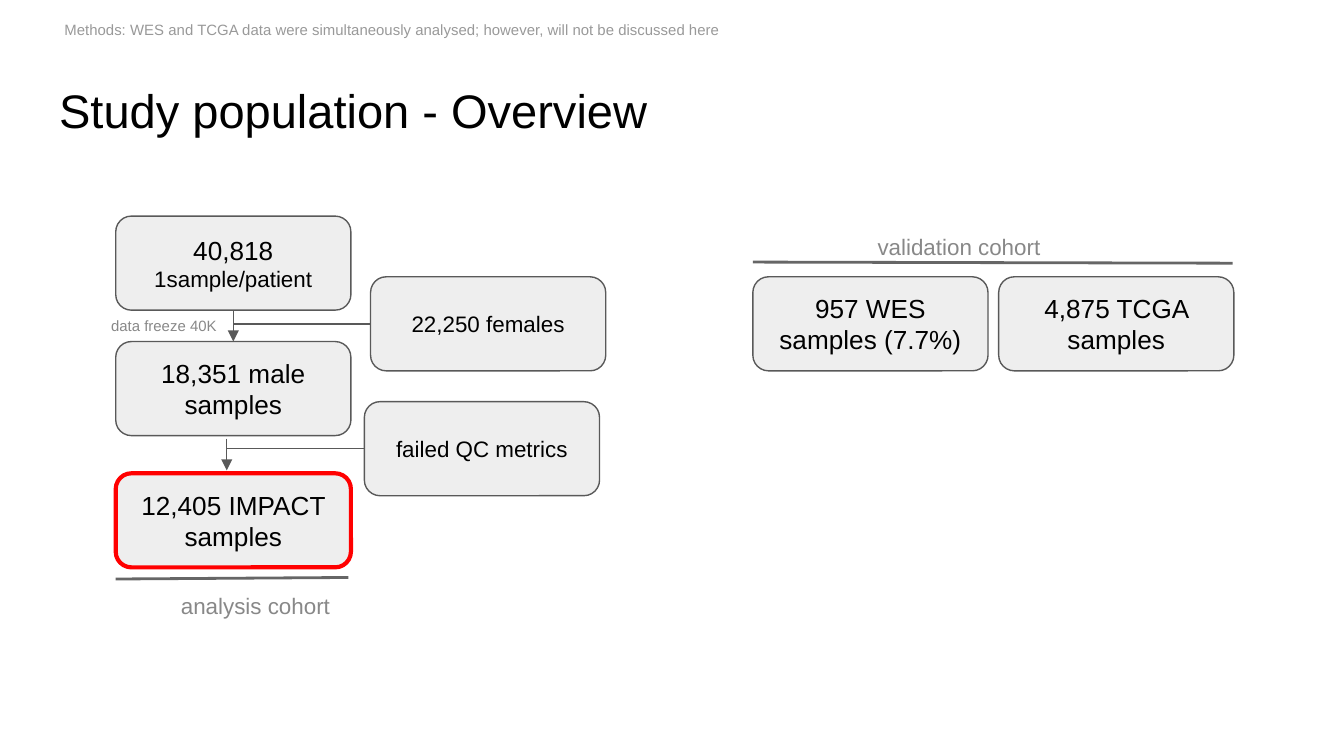
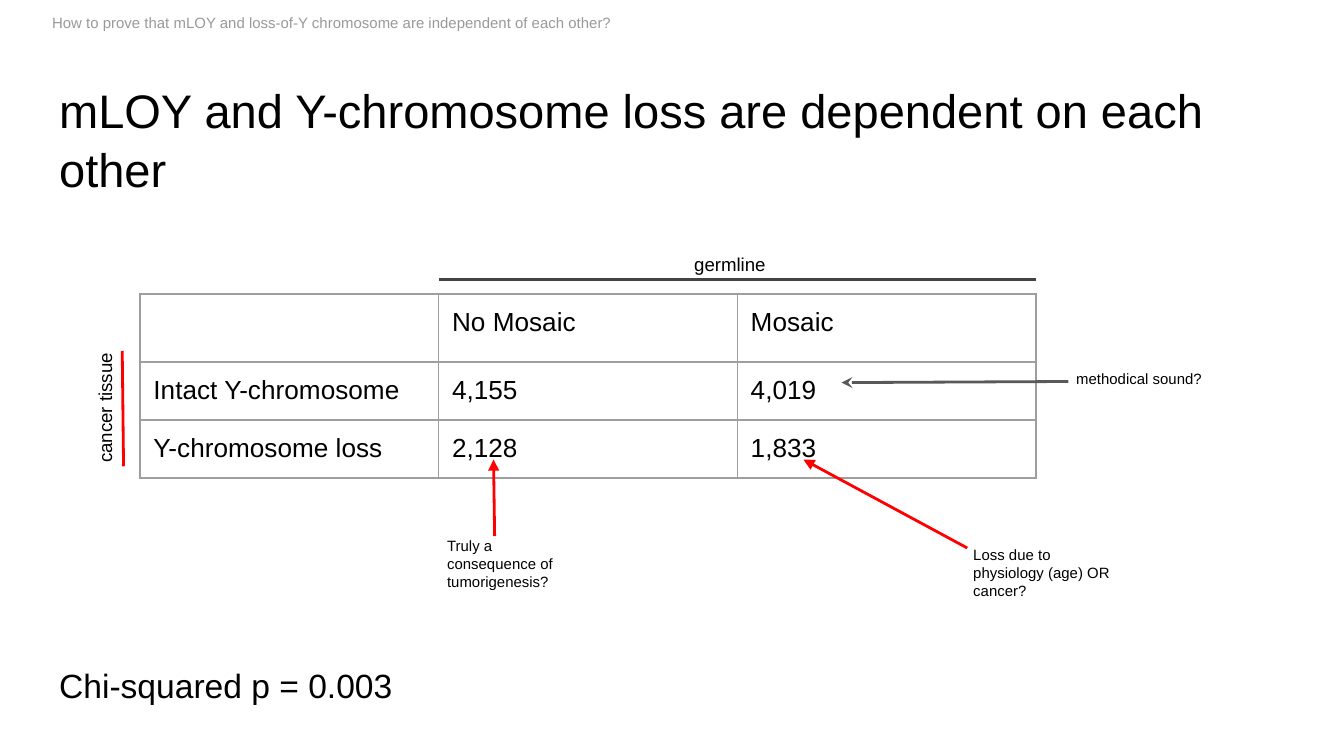
from lxml.etree import SubElement
from pptx import Presentation
from pptx.dml.color import RGBColor
from pptx.enum.shapes import MSO_CONNECTOR as Connector, MSO_SHAPE as Shape
from pptx.enum.text import MSO_ANCHOR as Anchor, MSO_AUTO_SIZE as AutoSize, PP_ALIGN as Align
from pptx.oxml import parse_xml
from pptx.oxml.ns import nsdecls, qn
from pptx.util import Pt

FONT = "Arial"
BLACK, RED = "000000", "FF0000"
NOTE, LABEL = "999999", "888888"
BOX_FILL, BOX_LINE = "EEEEEE", "595959"
RULE, DARK_RULE, GRID = "666666", "434343", "9E9E9E"
INSET = 7.2
BOX_WIDTH, BOX_HEIGHT = 126, 50.4


def color(value):
    return RGBColor.from_string(value)


class Deck:
    """Holds the shared style and the slide being built."""

    def __init__(self):
        self.presentation = Presentation()
        self.presentation.slide_width = Pt(720)
        self.presentation.slide_height = Pt(405)
        self.slide = None

    def new_slide(self, layout, title, note, note_left, note_top, note_width):
        self.slide = self.presentation.slides.add_slide(self.presentation.slide_layouts[layout])
        self.placeholder(self.slide.shapes.title, title, 35, 45.4, 25.2, 1.05)
        self.text(note, note_left, note_top, note_width, 24.5, 8, NOTE)

    def format_text(self, frame, size, value=BLACK, align=Align.LEFT, anchor=Anchor.TOP):
        frame.word_wrap = True
        frame.auto_size = AutoSize.NONE
        frame.vertical_anchor = anchor
        frame.margin_left = frame.margin_right = frame.margin_top = frame.margin_bottom = Pt(INSET)
        for paragraph in frame.paragraphs:
            paragraph.alignment = align
            for run in paragraph.runs:
                run.font.name = FONT
                run.font.size = Pt(size)
                run.font.color.rgb = color(value)

    def placeholder(self, shape, content, top, height, size, spacing, space_after=0):
        shape.left, shape.top, shape.width, shape.height = Pt(24.5), Pt(top), Pt(671), Pt(height)
        shape.text_frame.text = content
        paragraph = shape.text_frame.paragraphs[0]
        properties = paragraph._p.get_or_add_pPr()
        properties.set("marL", "0")
        properties.set("indent", "0")
        SubElement(properties, qn("a:buNone"))
        paragraph.line_spacing = spacing
        paragraph.space_before = Pt(0)
        paragraph.space_after = Pt(space_after)
        self.format_text(shape.text_frame, size)

    def title_only(self, *details):
        self.new_slide(5, *details)

    def title_and_body(self, body, *details):
        self.new_slide(1, *details)
        self.placeholder(self.slide.placeholders[1], body, 345.6, 49, 18, 1.15, 12)

    def text(self, content, left, top, width, height, size, value=BLACK, align=Align.LEFT, rotation=0):
        shape = self.slide.shapes.add_textbox(Pt(left), Pt(top), Pt(width), Pt(height))
        shape.text_frame.text = content
        shape.rotation = rotation
        self.format_text(shape.text_frame, size, value, align)

    def outline(self, left, top, value, weight):
        shape = self.slide.shapes.add_shape(
            Shape.ROUNDED_RECTANGLE, Pt(left), Pt(top), Pt(BOX_WIDTH), Pt(BOX_HEIGHT))
        shape.shadow.inherit = False
        shape.fill.background()
        shape.line.color.rgb = color(value)
        shape.line.width = Pt(weight)
        return shape

    def box(self, content, left, top, size=14, detail=None):
        shape = self.outline(left, top, BOX_LINE, 0.75)
        shape.fill.solid()
        shape.fill.fore_color.rgb = color(BOX_FILL)
        frame = shape.text_frame
        frame.text = content
        if detail:
            frame.paragraphs[0].add_run().text = detail
        self.format_text(frame, size, BLACK, Align.CENTER, Anchor.MIDDLE)
        if detail:
            frame.paragraphs[0].runs[-1].font.size = Pt(12)
        return shape

    def line(self, start, end, value=BOX_LINE, weight=0.75, head=None):
        connector = self.slide.shapes.add_connector(
            Connector.STRAIGHT, Pt(start[0]), Pt(start[1]), Pt(end[0]), Pt(end[1]))
        connector.line.color.rgb = color(value)
        connector.line.width = Pt(weight)
        if head:
            SubElement(connector.line._get_or_add_ln(), qn("a:tailEnd"), type=head)
        SubElement(connector._element.spPr, qn("a:effectLst"))
        return connector

    def table(self, rows, left, top, column_width, heights):
        columns = len(rows[0])
        table = self.slide.shapes.add_table(
            len(rows), columns, Pt(left), Pt(top), Pt(column_width * columns), Pt(sum(heights))).table
        table.first_row = table.horz_banding = False
        for column in table.columns:
            column.width = Pt(column_width)
        for row, height, values in zip(table.rows, heights, rows):
            row.height = Pt(height)
            for cell, content in zip(row.cells, values):
                self.cell(cell, content)

    def cell(self, cell, content):
        cell.text = content
        cell.fill.background()
        cell.margin_left = cell.margin_right = cell.margin_top = cell.margin_bottom = Pt(INSET)
        for run in cell.text_frame.paragraphs[0].runs:
            run.font.name = FONT
            run.font.size = Pt(14)
            run.font.color.rgb = color(BLACK)
        properties = cell._tc.get_or_add_tcPr()
        for index, side in enumerate(("lnL", "lnR", "lnT", "lnB")):
            properties.insert(index, parse_xml(
                f'<a:{side} {nsdecls("a")} w="{Pt(0.75)}"><a:solidFill>'
                f'<a:srgbClr val="{GRID}"/></a:solidFill></a:{side}>'))


def build_population(deck):
    deck.title_only(
        "Study population - Overview",
        "Methods: WES and TCGA data were simultaneously analysed; however, will not be discussed here",
        27.4, 3.6, 376)
    failed = deck.box("failed QC metrics", 195.2, 215.2, 12)
    patients = deck.box("40,818 ", 62, 115.8, detail="1sample/patient")
    males = deck.box("18,351 male samples", 62, 183)
    deck.box("12,405 IMPACT samples", 62, 253.6)
    females = deck.box("22,250 females", 198.5, 148.3, 12)
    flow = deck.line((125, 166.2), (125, 183), head="triangle")
    flow.begin_connect(patients, 2)
    flow.end_connect(males, 0)
    deck.line((121.5, 235), (121.5, 252), head="triangle")
    for excluded, start in ((females, (125, 173.5)), (failed, (121.5, 240.4))):
        deck.line(start, (198, start[1])).end_connect(excluded, 1)
    for index, content in enumerate(("957 WES samples (7.7%)", "4,875 TCGA samples")):
        deck.box(content, 403.3 + index * 131.7, 148.3)
    deck.line((403.3, 140.4), (660.4, 141), RULE, 1.5)
    deck.line((62, 310.2), (186.6, 309.4), RULE, 1.5)
    deck.outline(62, 253.6, RED, 2.25)
    deck.text("validation cohort", 463, 117.6, 121.7, 28.8, 12, LABEL)
    deck.text("analysis cohort", 89.8, 309.8, 101, 28.8, 12, LABEL)
    deck.text("data freeze 40K", 52.4, 162.5, 79.2, 24.5, 8, LABEL)


def build_dependence(deck):
    deck.title_and_body(
        "Chi-squared p = 0.003",
        "mLOY and Y-chromosome loss are dependent on each other",
        "How to prove that mLOY and loss-of-Y chromosome are independent of each other?",
        20.8, 0, 505)
    deck.table(
        [("", "No Mosaic", "Mosaic"),
         ("Intact Y-chromosome", "4,155", "4,019"),
         ("Y-chromosome loss", "2,128", "1,833")],
        75, 157.5, 160, (34.4, 31.1, 31.1))
    deck.line((65.5, 188), (66.2, 249.8), RED, 1.5)
    deck.line((235.2, 149.7), (555, 149.7), DARK_RULE, 1.5)
    deck.text("cancer tissue", 7.2, 205.2, 98, 26.6, 10, align=Align.CENTER, rotation=270)
    deck.text("germline", 342, 128, 98, 26.6, 10, align=Align.CENTER)
    deck.line((572.4, 204.4), (450.8, 205), BOX_LINE, 1.5, "stealth")
    deck.line((265, 287.2), (264.4, 246.2), RED, 1.5, "triangle")
    deck.line((518.2, 293.6), (430.4, 246.2), RED, 1.5, "triangle")
    for content, left, top, width, height in (
            ("methodical sound?", 569.4, 190.6, 85.7, 24.5),
            ("Truly a consequence of tumorigenesis?", 232.4, 280.4, 85.7, 44),
            ("Loss due to physiology (age) OR cancer?", 514.3, 285.2, 92.9, 44)):
        deck.text(content, left, top, width, height, 8)


def main():
    deck = Deck()
    build_population(deck)
    build_dependence(deck)
    deck.presentation.save("out.pptx")


if __name__ == "__main__":
    main()
